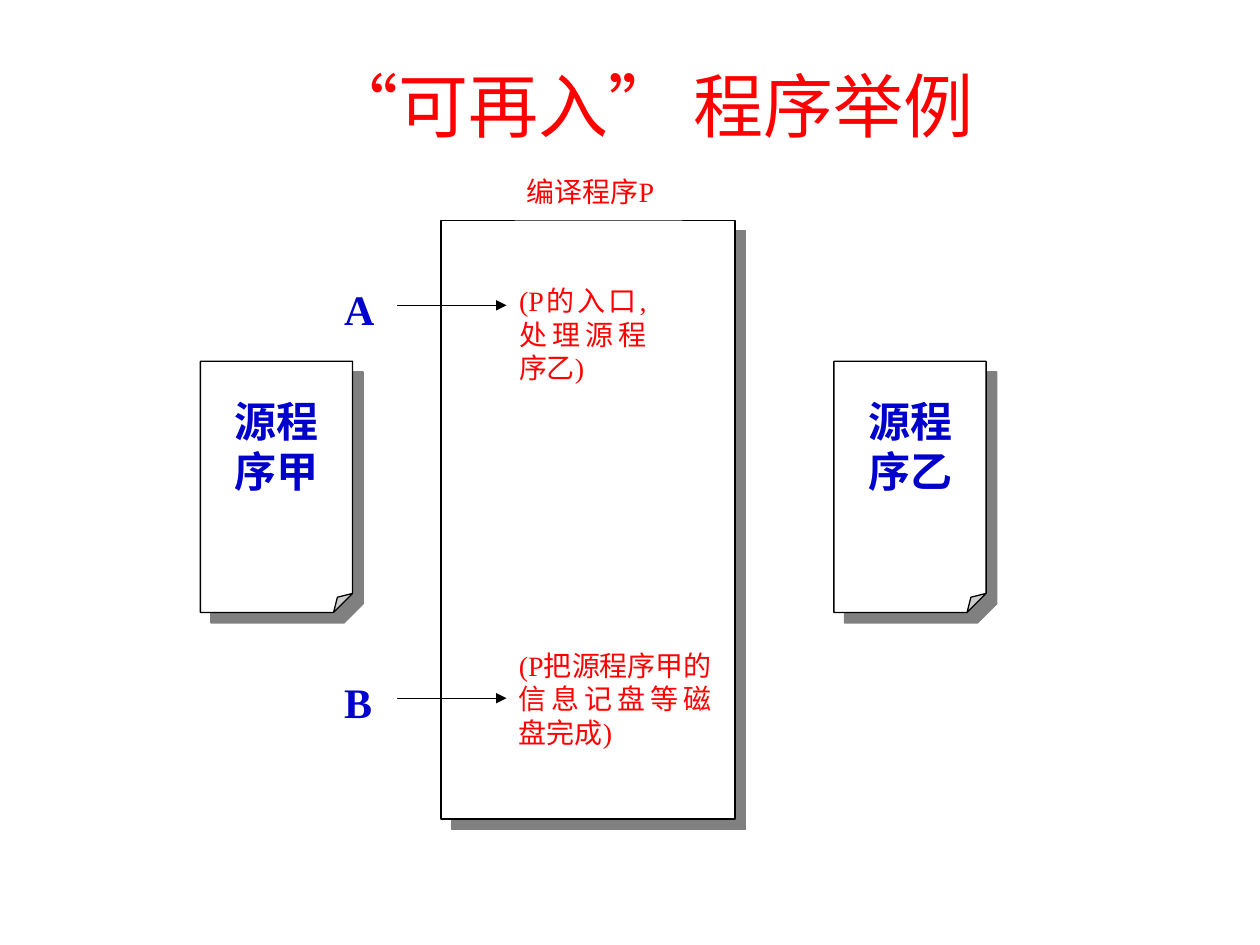
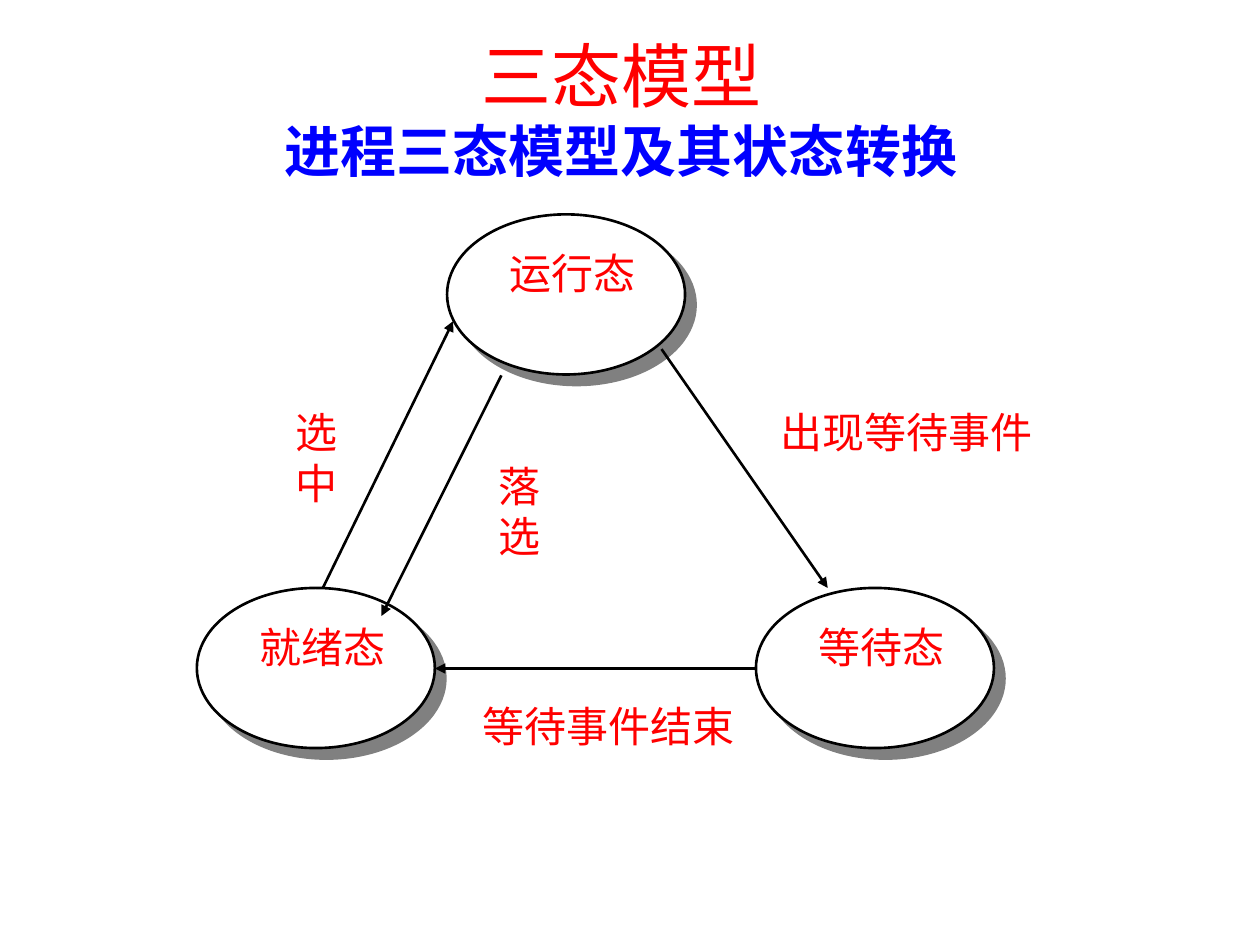
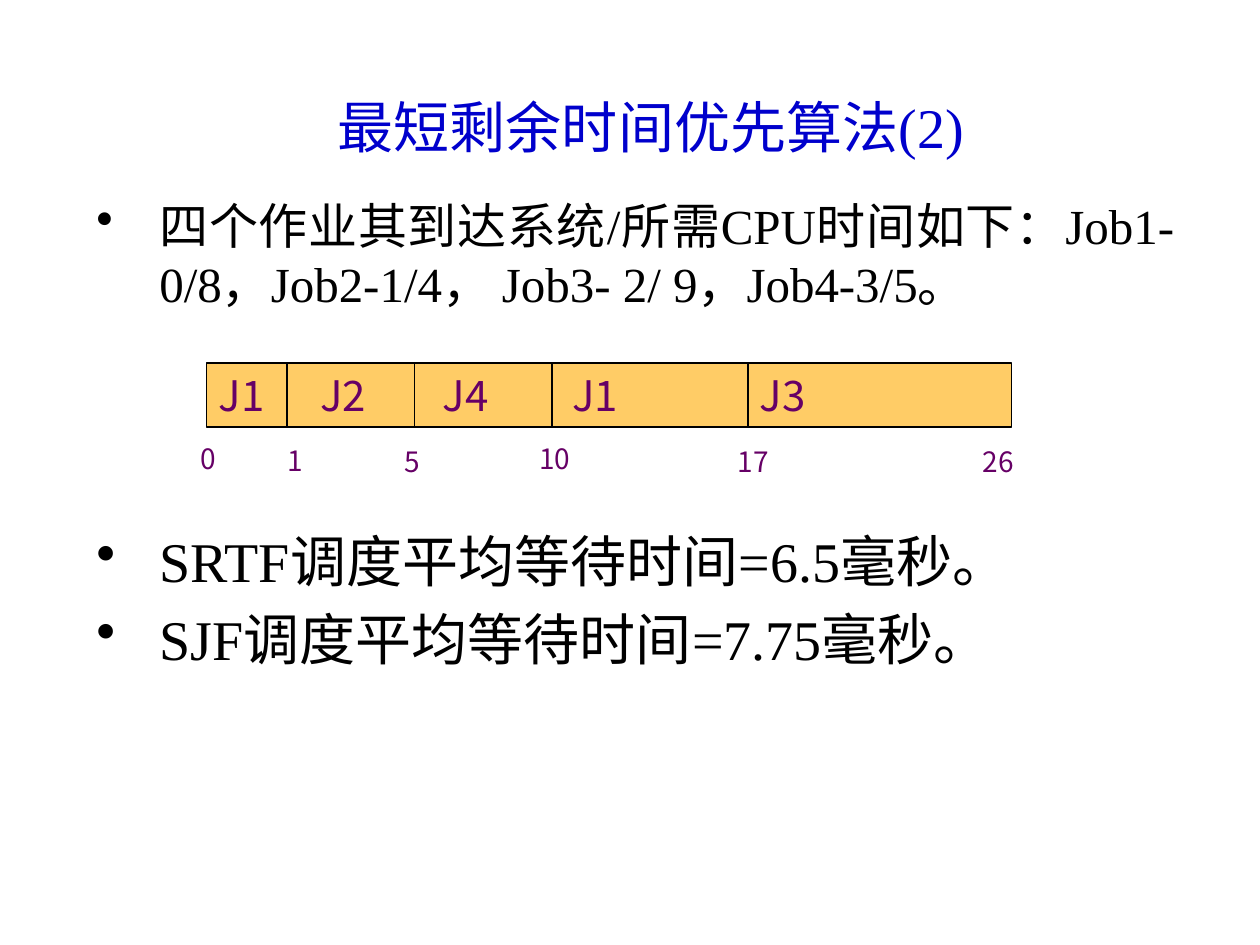
from typing import NamedTuple

import lxml.etree
import pptx
import pptx.dml.color
import pptx.enum.shapes
import pptx.enum.text
import pptx.oxml.ns
import pptx.util

Pt = pptx.util.Pt
Align = pptx.enum.text.PP_ALIGN
ShapeType = pptx.enum.shapes.MSO_SHAPE

RED, BLUE, BRIGHT_BLUE, PURPLE = "FF0000", "0000CC", "0000FF", "660066"
BLACK, WHITE, GRAY, AMBER = "000000", "FFFFFF", "808080", "FFCC66"
SERIF, SANS, DIGITS = "Times New Roman", "Noto Sans CJK SC", "Noto Sans CJK JP"
DEFAULT_INSETS = (7.2, 3.6, 7.2, 3.6)
STATE_INSETS = (0, 3, 0, 0)


class Box(NamedTuple):
    left: float
    top: float
    width: float
    height: float


class Label(NamedTuple):
    text: str
    box: Box


class Arrow(NamedTuple):
    start: tuple[float, float]
    end: tuple[float, float]


class Job(NamedTuple):
    name: str
    tab: float


class TimeMark(NamedTuple):
    text: str
    left: float
    top: float


def color_of(value: str):
    return pptx.dml.color.RGBColor.from_string(value)


def add_element(parent, tag: str, **attributes: str):
    element = lxml.etree.SubElement(parent, pptx.oxml.ns.qn(tag))
    for name, value in attributes.items():
        element.set(name, value)
    return element


def add_run(paragraph, text: str, *, size: float, color: str = RED,
            font: str = SERIF, bold: bool = False) -> None:
    run = paragraph.add_run()
    run.text = text
    run.font.size = Pt(size)
    run.font.name = font
    run.font.bold = bold
    run.font.color.rgb = color_of(color)
    east_asian = SANS if font == SERIF else font
    add_element(run.font._element, "a:ea", typeface=east_asian)


def prepare_frame(shape, insets: tuple = DEFAULT_INSETS):
    """Set wrapping, top anchor and insets; return the text frame."""
    frame = shape.text_frame
    frame.word_wrap = True
    frame.vertical_anchor = pptx.enum.text.MSO_ANCHOR.TOP
    (frame.margin_left, frame.margin_top,
     frame.margin_right, frame.margin_bottom) = map(Pt, insets)
    return frame


def add_text(slide, box: Box, text: str, *, align=Align.LEFT, fill: str | None = None,
             insets: tuple = DEFAULT_INSETS, **run_format):
    """Add a one-paragraph text box and return the paragraph."""
    shape = slide.shapes.add_textbox(*map(Pt, box))
    if fill:
        shape.fill.solid()
        shape.fill.fore_color.rgb = color_of(fill)
    paragraph = prepare_frame(shape, insets).paragraphs[0]
    paragraph.alignment = align
    add_run(paragraph, text, **run_format)
    return paragraph


def add_title(slide, box: Box, text: str, *, size: float = 40, color: str = RED):
    return add_text(slide, box, text, size=size, color=color, align=Align.CENTER)


def add_outlined_shape(slide, kind, box: Box, *, line_width: float = 0.75,
                       fill: str = WHITE, shadow: bool = True):
    shape = slide.shapes.add_shape(kind, *map(Pt, box))
    shape.shadow.inherit = False
    shape.fill.solid()
    shape.fill.fore_color.rgb = color_of(fill)
    shape.line.color.rgb = color_of(BLACK)
    shape.line.width = Pt(line_width)
    if shadow:
        effects = shape._element.spPr.find(pptx.oxml.ns.qn("a:effectLst"))
        outer = add_element(effects, "a:outerShdw", dist=str(Pt(8.5)), dir="2700000",
                            algn="ctr", rotWithShape="0")
        add_element(outer, "a:srgbClr", val=GRAY)
    return shape


def add_page(slide, box: Box) -> None:
    page = add_outlined_shape(slide, ShapeType.FOLDED_CORNER, box)
    adjustments = page._element.spPr.find(".//" + pptx.oxml.ns.qn("a:avLst"))
    add_element(adjustments, "a:gd", name="adj", fmla="val 12500")


def add_line(slide, arrow: Arrow, *, width: float = 0.75, head: bool = True) -> None:
    connector = slide.shapes.add_connector(
        pptx.enum.shapes.MSO_CONNECTOR.STRAIGHT,
        *map(Pt, arrow.start), *map(Pt, arrow.end))
    connector.line.color.rgb = color_of(BLACK)
    connector.line.width = Pt(width)
    if head:
        add_element(connector.line._get_or_add_ln(), "a:tailEnd", type="triangle")
    add_element(connector._element.spPr, "a:effectLst")


def build_reentrant_slide(slide) -> None:
    add_title(slide, Box(66, 32, 612, 48), "“可再入” 程序举例")
    add_outlined_shape(slide, ShapeType.RECTANGLE, Box(252, 126, 168, 342))

    notes = [
        Label("编译程序P", Box(294, 96, 96, 30)),
        Label("(P的入口,处理源程序乙)", Box(289.5, 158.5, 87, 47.5)),
        Label("(P把源程序甲的信息记盘等磁盘完成)", Box(289.5, 367, 124.5, 63.5)),
    ]
    for note in notes:
        add_text(slide, note.box, note.text, size=16, fill=WHITE, align=Align.JUSTIFY)

    for name, label_top, arrow_y in (("A", 158.5, 174.5), ("B", 383, 399)):
        add_line(slide, Arrow((227, arrow_y), (289.5, arrow_y)))
        add_text(slide, Box(189.5, label_top, 37.5, 47.5), name, size=24, color=BLUE,
                 bold=True, fill=WHITE, align=Align.JUSTIFY)

    for name, left in (("源程序甲", 114.5), ("源程序乙", 476.5)):
        add_page(slide, Box(left, 206.5, 87, 143.5))
        add_text(slide, Box(left + 12.5, 222.5, 64, 63.5), name, size=24, color=BLUE,
                 bold=True, fill=WHITE)


def build_state_slide(slide) -> None:
    title = add_title(slide, Box(31, 15, 648, 86.5), "三态模型")
    title.add_line_break()
    add_run(title, "进程三态模型及其状态转换", size=32, color=BRIGHT_BLUE,
            font=SANS, bold=True)

    states = {"运行态": (255.5, 122.5), "就绪态": (112.5, 336), "等待态": (432, 336)}
    for left, top in states.values():
        add_outlined_shape(slide, ShapeType.OVAL, Box(left, top, 136, 91.5),
                           line_width=1.5)

    transitions = [
        Arrow((184.5, 336), (259, 183.5)),
        Arrow((286.5, 214.5), (218, 352)),
        Arrow((378, 199.5), (473, 336)),
        Arrow((432, 382), (248.5, 382)),
    ]
    for transition in transitions:
        add_line(slide, transition, width=1.5)

    labels = [Label(name, Box(left + 31, top + 16, 81.5, 61))
              for name, (left, top) in states.items()]
    labels += [
        Label("选中", Box(157, 229.5, 47.5, 61)),
        Label("落选", Box(273, 260, 47.5, 61)),
        Label("出现等待事件", Box(443, 229.5, 150, 43)),
        Label("等待事件结束", Box(273, 397.5, 150, 43)),
    ]
    for label in labels:
        add_text(slide, label.box, label.text, size=24, font=SANS, fill=WHITE,
                 align=Align.CENTER, insets=STATE_INSETS)


def add_bullet(paragraph, text: str, *, size: float, space_before: float) -> None:
    paragraph.alignment = Align.JUSTIFY
    paragraph.space_before = Pt(space_before)
    properties = paragraph._p.get_or_add_pPr()
    properties.set("marL", str(Pt(36)))
    properties.set("indent", str(Pt(-36)))
    add_element(properties, "a:buChar", char="•")
    add_run(paragraph, text, size=size, color=BLACK)


def add_gantt_bar(slide, bar: Box) -> None:
    """Draw the schedule bar, its job names on tab stops and its dividers."""
    jobs = [Job("J1", 0), Job("J2", 58), Job("J4", 128), Job("J1", 202), Job("J3", 309)]
    shape = add_outlined_shape(slide, ShapeType.RECTANGLE, bar, fill=AMBER, shadow=False)
    paragraph = prepare_frame(shape).paragraphs[0]
    paragraph.alignment = Align.LEFT
    tabs = add_element(paragraph._p.get_or_add_pPr(), "a:tabLst")
    for job in jobs[1:]:
        add_element(tabs, "a:tab", pos=str(Pt(job.tab)), algn="l")
    add_run(paragraph, "\t".join(job.name for job in jobs), size=24,
            color=PURPLE, font=DIGITS)

    for x in (164, 237, 315.5, 427.5):
        add_line(slide, Arrow((x, bar.top), (x, bar.top + bar.height)), head=False)


def build_scheduling_slide(slide) -> None:
    add_title(slide, Box(66, 49.5, 612, 38), "最短剩余时间优先算法(2)",
              size=32, color=BLUE)

    body = prepare_frame(slide.shapes.add_textbox(*map(Pt, Box(48, 108, 630, 280))))
    add_bullet(body.paragraphs[0],
               "四个作业其到达系统/所需CPU时间如下："
               "Job1-0/8，Job2-1/4， Job3- 2/ 9，Job4-3/5。",
               size=28, space_before=0)
    add_bullet(body.add_paragraph(), "SRTF调度平均等待时间=6.5毫秒。",
               size=32, space_before=122)
    add_bullet(body.add_paragraph(), "SJF调度平均等待时间=7.75毫秒。",
               size=32, space_before=6.4)

    add_gantt_bar(slide, Box(118, 207.5, 460, 36.5))
    time_marks = [
        TimeMark("0", 107.5, 248.5), TimeMark("1", 157, 250),
        TimeMark("5", 224, 250.5), TimeMark("10", 301, 248.5),
        TimeMark("17", 414.5, 250.5), TimeMark("26", 554.5, 250.5),
    ]
    for mark in time_marks:
        add_text(slide, Box(mark.left, mark.top, 34, 26.5), mark.text, size=16,
                 color=PURPLE, font=DIGITS)


def main() -> None:
    presentation = pptx.Presentation()
    presentation.slide_width, presentation.slide_height = Pt(720), Pt(540)
    blank_layout = presentation.slide_layouts[6]
    for build in (build_reentrant_slide, build_state_slide, build_scheduling_slide):
        build(presentation.slides.add_slide(blank_layout))
    presentation.save("out.pptx")


if __name__ == "__main__":
    main()
